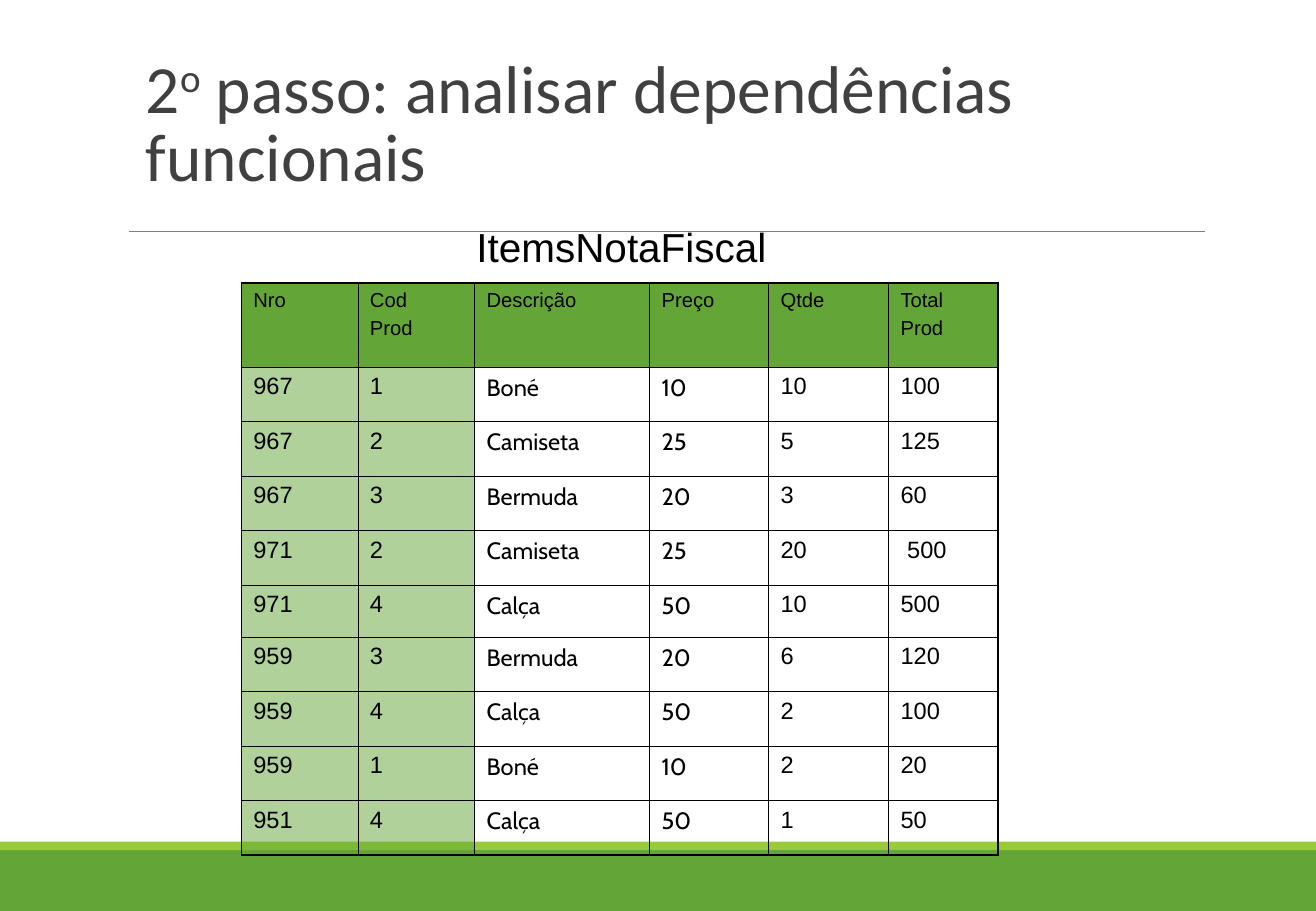
from dataclasses import dataclass

from lxml import etree
from pptx import Presentation
from pptx.dml.color import RGBColor
from pptx.enum.shapes import MSO_CONNECTOR, MSO_SHAPE
from pptx.enum.text import MSO_ANCHOR, PP_ALIGN
from pptx.oxml.ns import qn
from pptx.util import Cm, Pt

RECT = MSO_SHAPE.RECTANGLE
STRAIGHT = MSO_CONNECTOR.STRAIGHT
TOP, BOTTOM = MSO_ANCHOR.TOP, MSO_ANCHOR.BOTTOM
LEFT, CENTER = PP_ALIGN.LEFT, PP_ALIGN.CENTER


@dataclass(frozen=True)
class Theme:
    green: str = "63A537"
    lime: str = "99CB38"
    rule: str = "7F7F7F"
    title: str = "404040"
    ink: str = "000000"
    title_font: str = "Calibri"
    sans: str = "Arial"
    accent_font: str = "Cabin"
    title_size: float = 40
    caption_size: float = 24
    body_size: float = 14
    header_size: float = 12
    outer_line: float = 1.08
    inner_line: float = 0.45


T = Theme()
SLIDE_W, SLIDE_H = 27.53, 19.05

HEADERS = ["Nro", "Cod\nProd", "Descrição", "Preço", "Qtde", "Total\nProd"]
ITEMS = [
    ["967", "1", "Boné", "10", "10", "100"],
    ["967", "2", "Camiseta", "25", "5", "125"],
    ["967", "3", "Bermuda", "20", "3", "60"],
    ["971", "2", "Camiseta", "25", "20", " 500"],
    ["971", "4", "Calça", "50", "10", "500"],
    ["959", "3", "Bermuda", "20", "6", "120"],
    ["959", "4", "Calça", "50", "2", "100"],
    ["959", "1", "Boné", "10", "2", "20"],
    ["951", "4", "Calça", "50", "1", "50"],
]
COL_WIDTHS = [2.44, 2.44, 3.66, 2.49, 2.51, 2.29]
HEADER_H, ROW_H, SHORT_ROW_H = 1.76, 1.14, 1.09
SHORT_ROW = 5
KEY_COLS = (0, 1)
ACCENT_COLS = (2, 3)


def add_run(p, text, font, size, color):
    r = p.add_run()
    r.text = text
    r.font.name = font
    r.font.size = Pt(size)
    r.font.color.rgb = RGBColor.from_string(color)
    return r


def add_band(slide, x, y, w, h, color):
    sp = slide.shapes.add_shape(RECT, Cm(x), Cm(y), Cm(w), Cm(h))
    sp.shadow.inherit = False
    sp.fill.solid()
    sp.fill.fore_color.rgb = RGBColor.from_string(color)
    sp.line.fill.background()


def add_footer(slide, x, y, w, h):
    stripe = 0.18
    add_band(slide, x, y + stripe, w, h - stripe, T.green)
    add_band(slide, x, y, w, stripe, T.lime)


def add_rule(slide, x, y, w):
    line = slide.shapes.add_connector(STRAIGHT, Cm(x), Cm(y), Cm(x + w), Cm(y))
    line.line.color.rgb = RGBColor.from_string(T.rule)
    line.line.width = Pt(0.5)
    etree.SubElement(line._element.spPr, qn("a:effectLst"))


def add_title(slide, x, y, w, h):
    sp = slide.shapes.title
    sp.left, sp.top, sp.width, sp.height = Cm(x), Cm(y), Cm(w), Cm(h)
    tf = sp.text_frame
    tf.word_wrap = True
    tf.vertical_anchor = BOTTOM
    p = tf.paragraphs[0]
    p.alignment = LEFT
    p.line_spacing = 0.85
    for text, raised in (("2", False), ("o", True),
                         (" passo: analisar dependências funcionais", False)):
        r = add_run(p, text, T.title_font, T.title_size, T.title)
        if raised:
            r._r.get_or_add_rPr().set("baseline", "30000")


def add_caption(slide, x, y, w, h):
    tf = slide.shapes.add_textbox(Cm(x), Cm(y), Cm(w), Cm(h)).text_frame
    tf.word_wrap = True
    p = tf.paragraphs[0]
    p.alignment = CENTER
    p.space_before = Pt(15)
    add_run(p, "ItemsNotaFiscal", T.sans, T.caption_size, T.ink)


def set_borders(cell, outer_sides):
    tc_pr = cell._tc.get_or_add_tcPr()
    for i, side in enumerate("LRTB"):
        width = T.outer_line if side in outer_sides else T.inner_line
        ln = etree.Element(qn(f"a:ln{side}"), w=str(int(Pt(width))))
        fill = etree.SubElement(ln, qn("a:solidFill"))
        etree.SubElement(fill, qn("a:srgbClr"), val=T.ink)
        tc_pr.insert(i, ln)


def fill_cell(cell, row, col):
    if row > 0 and col not in KEY_COLS:
        cell.fill.background()
        return
    cell.fill.solid()
    cell.fill.fore_color.rgb = RGBColor.from_string(T.green)
    if row > 0:
        color = cell._tc.tcPr.find(".//" + qn("a:srgbClr"))
        etree.SubElement(color, qn("a:alpha"), val="50000")


def write_cell(cell, text, row, col):
    cell.vertical_anchor = TOP
    cell.margin_left = cell.margin_right = Cm(0.25)
    cell.margin_top = cell.margin_bottom = Cm(0.13)
    size = T.body_size if row else T.header_size
    font = T.accent_font if row and col in ACCENT_COLS else T.sans
    tf = cell.text_frame
    for i, part in enumerate(text.split("\n")):
        p = tf.add_paragraph() if i else tf.paragraphs[0]
        p.space_before = Pt(size / 4)
        add_run(p, part, font, size, T.ink)


def add_items_table(slide, x, y, w, h):
    rows = [HEADERS] + ITEMS
    last_row, last_col = len(rows) - 1, len(HEADERS) - 1
    table = slide.shapes.add_table(len(rows), len(HEADERS),
                                   Cm(x), Cm(y), Cm(w), Cm(h)).table
    table.first_row = table.horz_banding = False
    for column, width in zip(table.columns, COL_WIDTHS):
        column.width = Cm(width)
    heights = {0: HEADER_H, SHORT_ROW: SHORT_ROW_H}
    for r, values in enumerate(rows):
        table.rows[r].height = Cm(heights.get(r, ROW_H))
        for c, text in enumerate(values):
            cell = table.cell(r, c)
            write_cell(cell, text, r, c)
            fill_cell(cell, r, c)
            edges = {"L": c == 0, "R": c == last_col,
                     "T": r == 0, "B": r == last_row}
            set_borders(cell, [side for side, outer in edges.items() if outer])


def main():
    prs = Presentation()
    prs.slide_width, prs.slide_height = Cm(SLIDE_W), Cm(SLIDE_H)
    slide = prs.slides.add_slide(prs.slide_layouts[5])

    # Background decoration
    add_footer(slide, 0, 17.6, SLIDE_W, SLIDE_H - 17.6)
    add_rule(slide, 2.7, 4.83, 22.5)

    # Heading, table and its caption
    add_title(slide, 2.8, 0.28, 24.36, 3.94)
    add_items_table(slide, 5.05, 5.92, sum(COL_WIDTHS), 11.97)
    add_caption(slide, 8.76, 4.52, 8.48, 1.27)

    prs.save("out.pptx")


if __name__ == "__main__":
    main()
